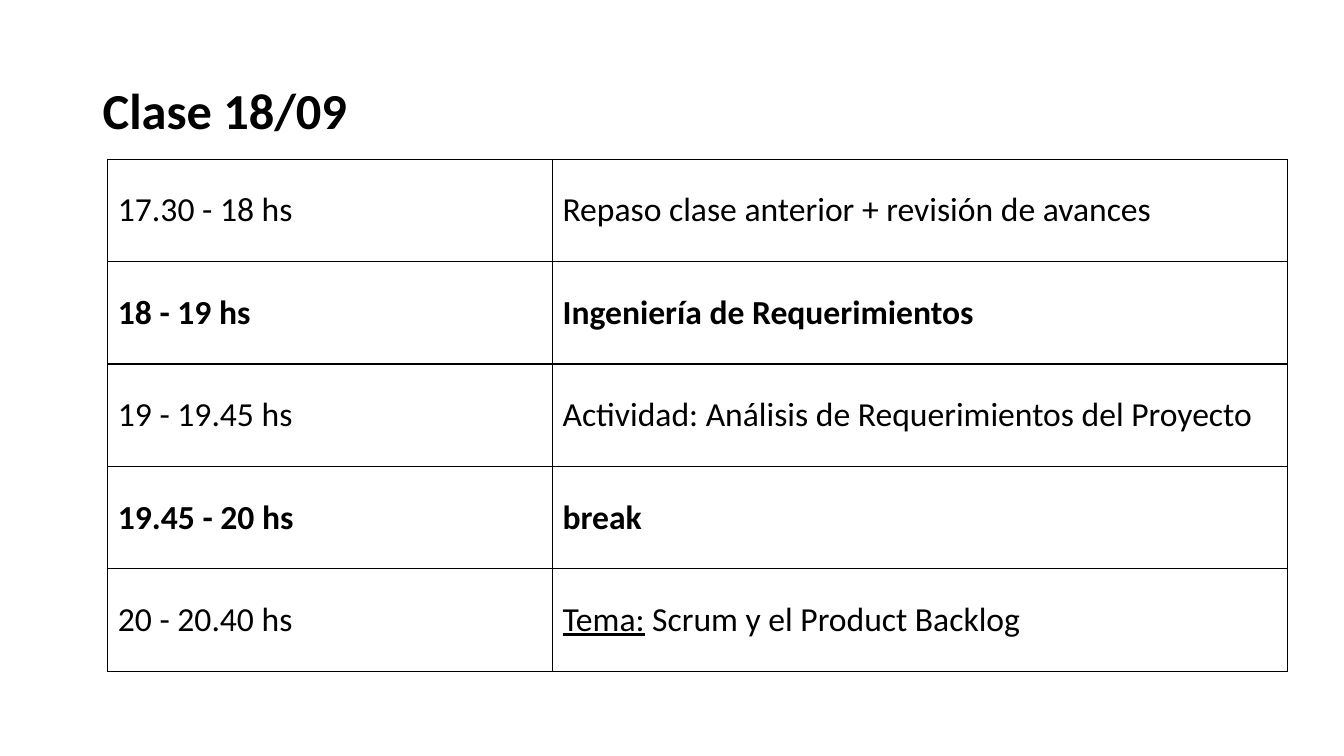
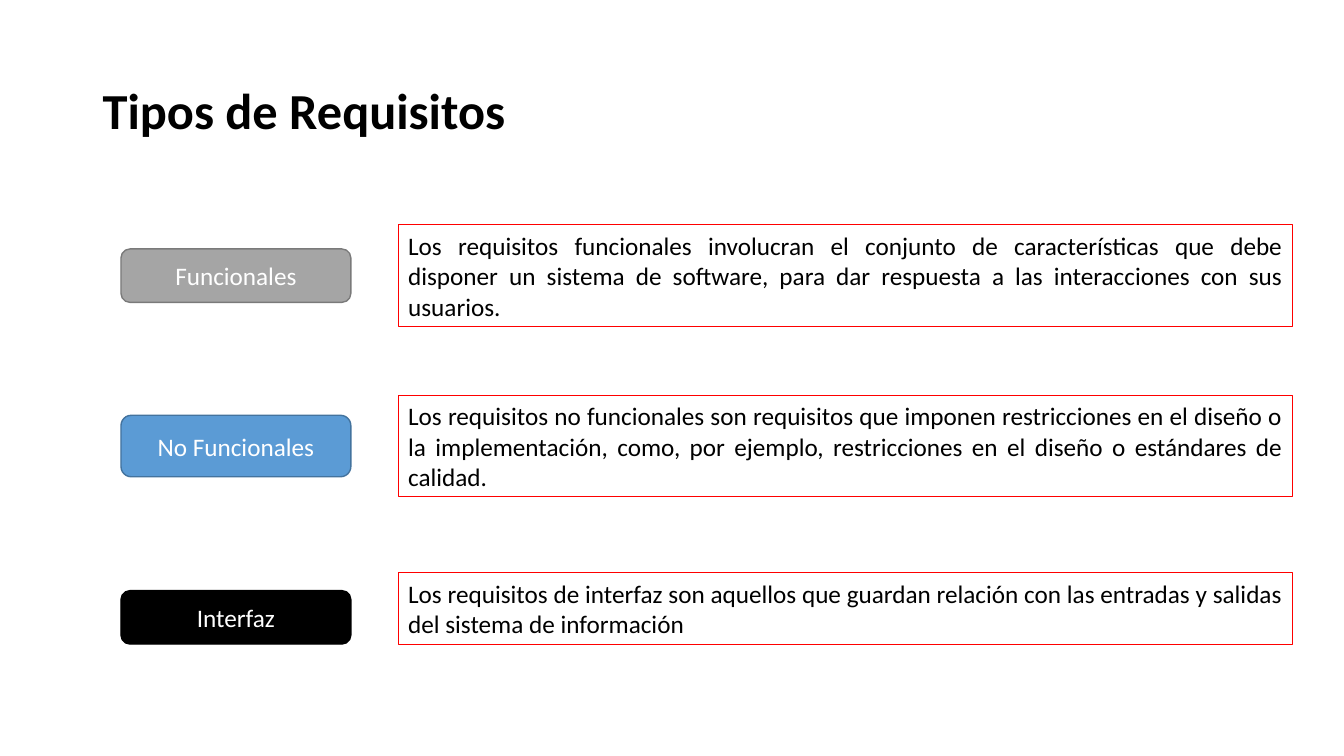
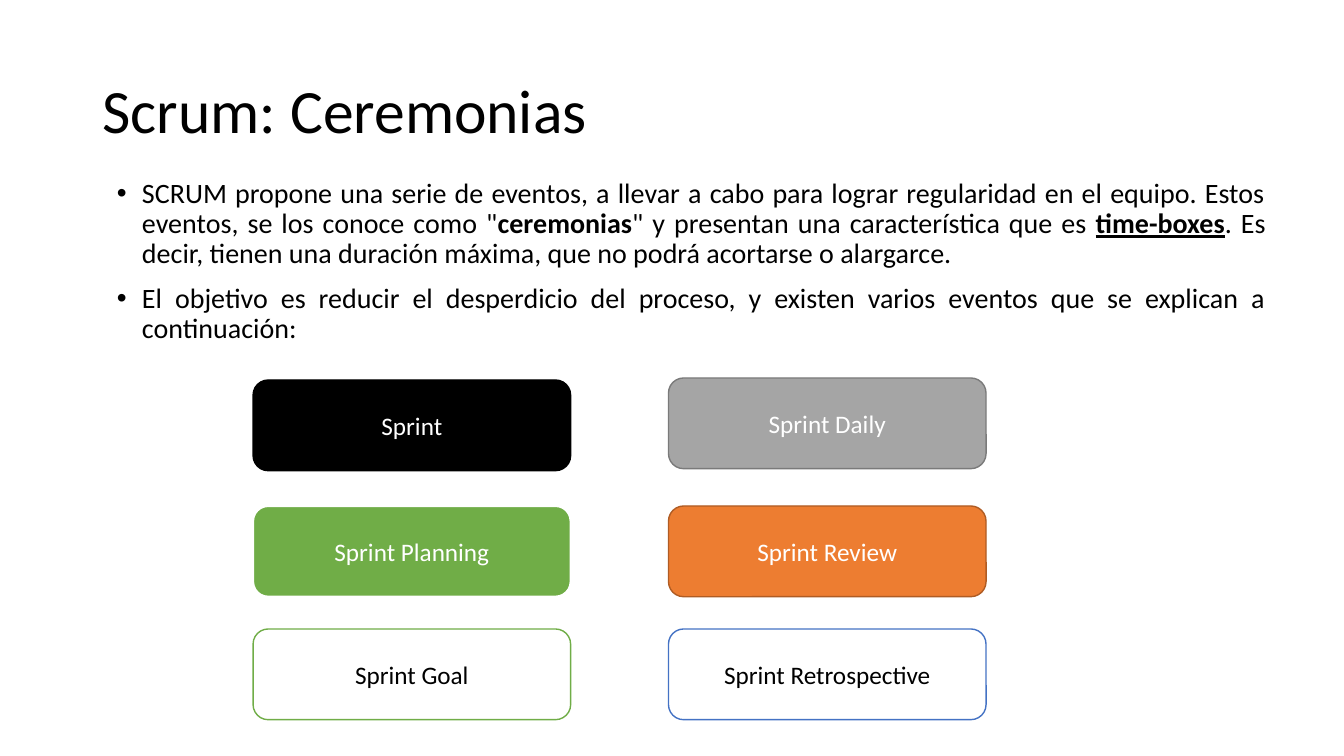
import pptx
import pptx.util
import pptx.dml.color
import pptx.enum.shapes
import pptx.enum.text
import pptx.oxml
import pptx.oxml.ns
from lxml import etree

Inches = pptx.util.Inches
Pt = pptx.util.Pt
SHAPES = pptx.enum.shapes.MSO_SHAPE
ALIGN = pptx.enum.text.PP_ALIGN
MIDDLE = pptx.enum.text.MSO_ANCHOR.MIDDLE
FONT = "Calibri"
COLORS = {
    "black": "000000", "white": "FFFFFF", "red": "FF0000",
    "gray": "A5A5A5", "dark gray": "7A7A7A",
    "sky": "5B9BD5", "dark sky": "43739E", "blue": "4472C4",
    "green": "70AD47", "orange": "ED7D31", "dark orange": "AF5C24",
}


def add_spans(para, spans, size, color="black"):
    """Write (text, style) spans; style holds b for bold, u for underline."""
    for text, style in spans:
        span = para.add_run()
        span.text = text
        span.font.name = FONT
        span.font.size = Pt(size)
        span.font.bold = "b" in style
        span.font.underline = "u" in style
        span.font.color.rgb = pptx.dml.color.RGBColor.from_string(COLORS[color])


def add_box(page, kind, place, text, fill, line, color, width=1, align=ALIGN.CENTER):
    """Draw an outlined shape with one paragraph of 18 point text."""
    box = page.shapes.add_shape(kind, *[Inches(length) for length in place])
    box.shadow.inherit = False
    if fill:
        box.fill.solid()
        box.fill.fore_color.rgb = pptx.dml.color.RGBColor.from_string(COLORS[fill])
    else:
        box.fill.background()
    box.line.color.rgb = pptx.dml.color.RGBColor.from_string(COLORS[line])
    box.line.width = Pt(width)
    box.text_frame.word_wrap = True
    box.text_frame.vertical_anchor = MIDDLE
    para = box.text_frame.paragraphs[0]
    para.alignment = align
    add_spans(para, [(text, "")], 18, color)


deck = pptx.Presentation()
deck.slide_width = Inches(13.33)
deck.slide_height = Inches(7.5)

# Pages and their titles
pages = []
for title, style, size in [
    ("Clase 18/09", "b", 36),
    ("Tipos de Requisitos", "b", 36),
    ("Scrum: Ceremonias", "", 44),
]:
    page = deck.slides.add_slide(deck.slide_layouts[6])
    box = page.shapes.add_textbox(Inches(0.92), Inches(0.4), Inches(11.5), Inches(1.45))
    box.text_frame.word_wrap = True
    box.text_frame.vertical_anchor = MIDDLE
    para = box.text_frame.paragraphs[0]
    para.line_spacing = 0.9
    add_spans(para, [(title, style)], size)
    pages.append(page)
schedule_page, types_page, scrum_page = pages

# Class schedule
schedule = [
    ([("17.30 - 18 hs", "")], [("Repaso clase anterior + revisión de avances", "")]),
    ([("18 - 19 hs", "b")], [("Ingeniería de Requerimientos", "b")]),
    ([("19 - 19.45 hs", "")], [("Actividad: Análisis de Requerimientos del Proyecto", "")]),
    ([("19.45 - 20 hs", "b")], [("break", "b")]),
    ([("20 - 20.40 hs", "")], [("Tema:", "u"), (" Scrum y el Product Backlog", "")]),
]
table = schedule_page.shapes.add_table(
    len(schedule), 2, Inches(1.07), Inches(1.58), Inches(11.7), Inches(5.08)).table
table.first_row = False
table.horz_banding = False
table.columns[0].width = Inches(4.41)
table.columns[1].width = Inches(7.29)
for row, entries in enumerate(schedule):
    for column, spans in enumerate(entries):
        cell = table.cell(row, column)
        cell.vertical_anchor = MIDDLE
        add_spans(cell.text_frame.paragraphs[0], spans, 24)
        properties = cell._tc.get_or_add_tcPr()
        for side in ("lnL", "lnR", "lnT", "lnB"):
            border = etree.SubElement(
                properties, pptx.oxml.ns.qn("a:" + side), w=str(Pt(1)))
            paint = etree.SubElement(border, pptx.oxml.ns.qn("a:solidFill"))
            etree.SubElement(paint, pptx.oxml.ns.qn("a:srgbClr"), val=COLORS["black"])
        cell.fill.background()

# Requirement types: label and definition
for name, fill, line, label_top, label_height, top, height, definition in [
    ("Funcionales", "gray", "dark gray", 2.47, 0.53, 2.23, 1.01,
     "Los requisitos funcionales involucran el conjunto de características que debe "
     "disponer un sistema de software, para dar respuesta a las interacciones con sus "
     "usuarios."),
    ("No Funcionales", "sky", "dark sky", 4.12, 0.61, 3.92, 1.01,
     "Los requisitos no funcionales son requisitos que imponen restricciones en el diseño "
     "o la implementación, como, por ejemplo, restricciones en el diseño o estándares de "
     "calidad."),
    ("Interfaz", "black", "black", 5.86, 0.53, 5.68, 0.71,
     "Los requisitos de interfaz son aquellos que guardan relación con las entradas y "
     "salidas del sistema de información"),
]:
    add_box(types_page, SHAPES.ROUNDED_RECTANGLE, (1.2, label_top, 2.28, label_height),
            name, fill, line, "white")
    add_box(types_page, SHAPES.RECTANGLE, (3.95, top, 8.87, height),
            definition, None, "red", "black", 0.75, ALIGN.JUSTIFY)

# Scrum introduction
box = scrum_page.shapes.add_textbox(Inches(1.06), Inches(1.73), Inches(11.59), Inches(5.17))
frame = box.text_frame
frame.word_wrap = True
for index, spans in enumerate([
    [("SCRUM propone una serie de eventos, a llevar a cabo para lograr regularidad en el "
      "equipo. Estos eventos, se los conoce como \"", ""),
     ("ceremonias", "b"),
     ("\" y presentan una característica que es ", ""),
     ("time-boxes", "bu"),
     (". Es decir, tienen una duración máxima, que no podrá acortarse o alargarce.", "")],
    [("El objetivo es reducir el desperdicio del proceso, y existen varios eventos que se "
      "explican a continuación:", "")],
]):
    para = frame.add_paragraph() if index else frame.paragraphs[0]
    para.alignment = ALIGN.JUSTIFY
    para.line_spacing = 0.9
    if index:
        para.space_before = Pt(10)
    properties = para._p.get_or_add_pPr()
    properties.set("marL", str(Inches(0.25)))
    properties.set("indent", str(-Inches(0.25)))
    etree.SubElement(properties, pptx.oxml.ns.qn("a:buFont"), typeface="Arial")
    etree.SubElement(properties, pptx.oxml.ns.qn("a:buChar"), char="•")
    add_spans(para, spans, 20)

# Scrum ceremonies
for left, top, name, fill, line, color, width in [
    (2.51, 3.77, "Sprint", "black", "black", "white", 1),
    (2.51, 5.02, "Sprint Planning", "green", "white", "white", 1.5),
    (2.51, 6.24, "Sprint Goal", "white", "green", "black", 1),
    (6.63, 3.75, "Sprint Daily", "gray", "dark gray", "white", 1),
    (6.63, 5.02, "Sprint Review", "orange", "dark orange", "white", 1),
    (6.63, 6.24, "Sprint Retrospective", "white", "blue", "black", 1),
]:
    add_box(scrum_page, SHAPES.ROUNDED_RECTANGLE, (left, top, 3.15, 0.9),
            name, fill, line, color, width)

deck.save("out.pptx")
